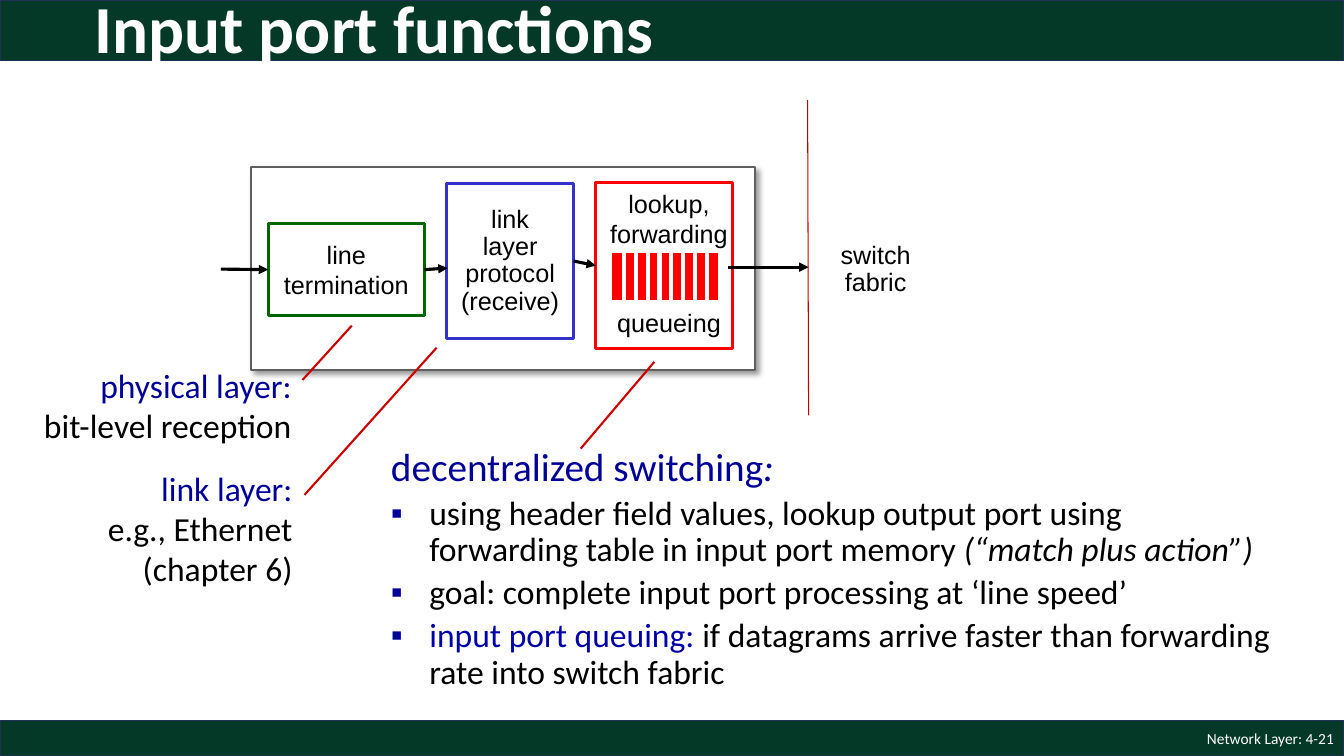
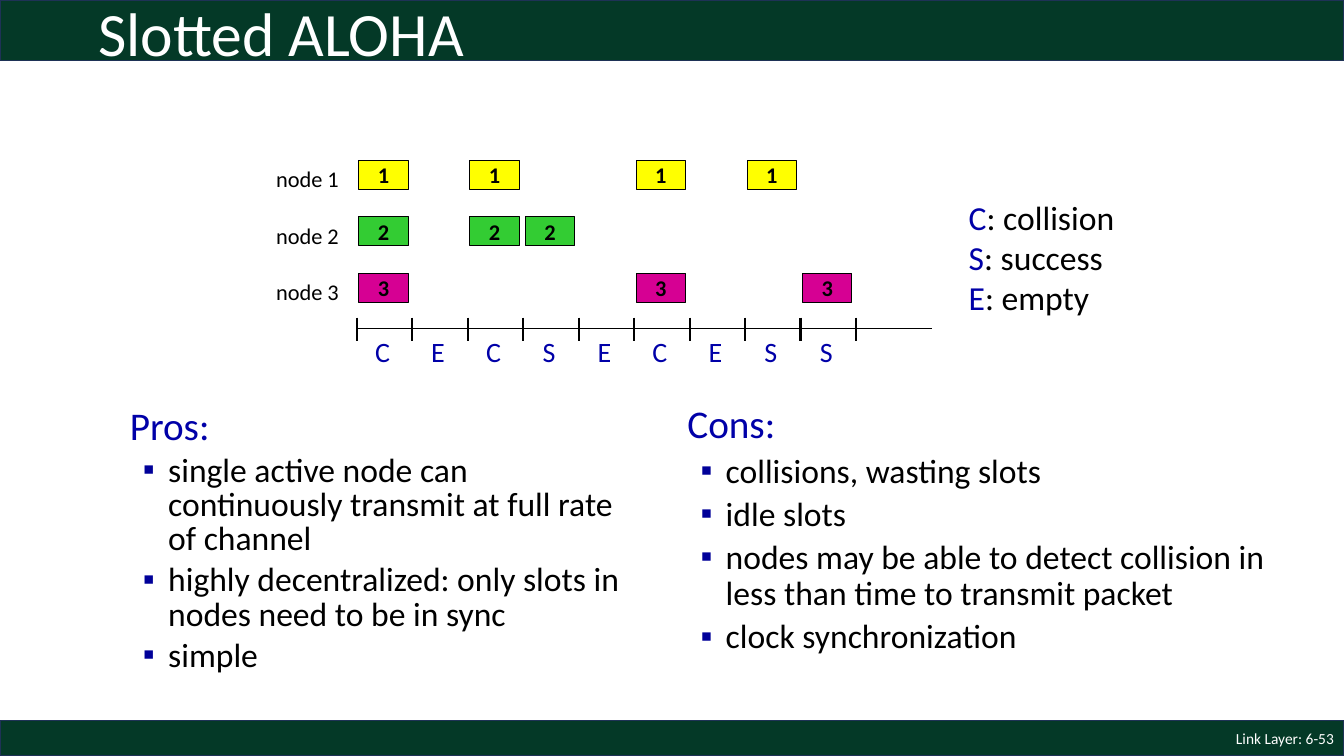
from dataclasses import dataclass

import pptx
import pptx.dml.color
import pptx.enum.shapes
import pptx.enum.text
import pptx.oxml
import pptx.oxml.ns
import pptx.util
from lxml import etree

Inches = pptx.util.Inches
Pt = pptx.util.Pt
RGBColor = pptx.dml.color.RGBColor
Align = pptx.enum.text.PP_ALIGN
Anchor = pptx.enum.text.MSO_ANCHOR
RECTANGLE = pptx.enum.shapes.MSO_SHAPE.RECTANGLE
STRAIGHT = pptx.enum.shapes.MSO_CONNECTOR.STRAIGHT
qn = pptx.oxml.ns.qn
LEFT_SIDE, RIGHT_SIDE = 1, 3


@dataclass(frozen=True)
class Theme:
    body_font: str = "Calibri"
    diagram_font: str = "Arial"
    band: str = "043927"
    band_edge: str = "1E3256"
    white: str = "FFFFFF"
    black: str = "000000"
    heading: str = "000099"
    accent: str = "0000A8"
    panel_edge: str = "5F5F5F"
    green: str = "006600"
    blue: str = "3333CC"
    red: str = "FF0000"
    callout: str = "CC0000"
    divider: str = "C00000"
    node_colors: tuple = ("FFFF00", "33CC33", "D60093")
    heading_size: int = 28
    body_size: int = 24
    slot_size: int = 20
    diagram_size: int = 18
    node_size: int = 16
    footer_size: int = 11


THEME = Theme()


@dataclass
class Paragraph:
    """runs holds (text, color, italic) tuples; a None color keeps the paragraph's own."""
    runs: list
    size: float = THEME.body_size
    color: str = THEME.black
    font: str = THEME.body_font
    bold: bool = False
    align: Align = Align.LEFT
    line_spacing: float = 1.0
    space_before: float = 0
    bullet_indent: float = 0


def plain(*lines, **style):
    return [Paragraph([(line, None, False)], **style) for line in lines]


def diagram_text(*lines, line_spacing=1.0):
    return plain(*lines, size=THEME.diagram_size, font=THEME.diagram_font,
                 align=Align.CENTER, line_spacing=line_spacing)


def bullet_list(heading, items, indent, line_spacing):
    """A heading followed by bulleted items, each a list of runs."""
    return [Paragraph(heading, THEME.heading_size, THEME.accent, line_spacing=line_spacing)] + [
        Paragraph(item, line_spacing=line_spacing, space_before=4.8, bullet_indent=indent)
        for item in items]


class Deck:
    def __init__(self, theme):
        self.theme = theme
        self.presentation = pptx.Presentation()
        self.presentation.slide_width = Inches(13.33)
        self.presentation.slide_height = Inches(7.5)
        self.slide = None

    def new_slide(self, title, title_left, title_top, title_size, footer, bold=False):
        theme = self.theme
        self.slide = self.presentation.slides.add_slide(self.presentation.slide_layouts[6])
        for top, height in ((0, 0.6), (7.15, 0.35)):
            self.box(0, top, 13.33, height, theme.band, theme.band_edge, 1)
        self.text(10.33, 7.15, 3, 0.35,
                  plain(footer, size=theme.footer_size, color=theme.white, align=Align.RIGHT),
                  Anchor.MIDDLE, wrap=True)
        self.text(title_left, title_top, 11.5, 0.98,
                  plain(title, size=title_size, color=theme.white, bold=bold, line_spacing=0.9),
                  Anchor.MIDDLE, wrap=True)

    def box(self, left, top, width, height, fill=None, line=None, line_width=0.75, paragraphs=()):
        shape = self.slide.shapes.add_shape(
            RECTANGLE, Inches(left), Inches(top), Inches(width), Inches(height))
        shape.shadow.inherit = False
        if fill:
            shape.fill.solid()
            shape.fill.fore_color.rgb = RGBColor.from_string(fill)
        else:
            shape.fill.background()
        if line:
            shape.line.color.rgb = RGBColor.from_string(line)
            shape.line.width = Pt(line_width)
        else:
            shape.line.fill.background()
        if paragraphs:
            self.set_text(shape.text_frame, paragraphs, Anchor.MIDDLE, wrap=False)
        return shape

    def drop_shadow(self, shape):
        effects = shape._element.spPr.find(qn("a:effectLst"))
        shadow = etree.SubElement(effects, qn("a:outerShdw"), blurRad=str(Pt(4)),
                                  dist=str(Pt(3)), dir="2700000", algn="tl", rotWithShape="0")
        color = etree.SubElement(shadow, qn("a:srgbClr"), val=self.theme.black)
        etree.SubElement(color, qn("a:alpha"), val="40000")

    def text(self, left, top, width, height, paragraphs, anchor=Anchor.TOP, wrap=False):
        shape = self.slide.shapes.add_textbox(
            Inches(left), Inches(top), Inches(width), Inches(height))
        self.set_text(shape.text_frame, paragraphs, anchor, wrap)

    def set_text(self, frame, paragraphs, anchor, wrap):
        frame.word_wrap = wrap
        frame.vertical_anchor = anchor
        for index, content in enumerate(paragraphs):
            paragraph = frame.paragraphs[0] if index == 0 else frame.add_paragraph()
            if content.bullet_indent:
                self.bullet(paragraph, content.bullet_indent)
            paragraph.alignment = content.align
            paragraph.line_spacing = content.line_spacing
            if content.space_before:
                paragraph.space_before = Pt(content.space_before)
            font = paragraph.font
            font.name = content.font
            font.size = Pt(content.size)
            font.bold = content.bold
            font.color.rgb = RGBColor.from_string(content.color)
            for text, color, italic in content.runs:
                run = paragraph.add_run()
                run.text = text
                if color:
                    run.font.color.rgb = RGBColor.from_string(color)
                if italic:
                    run.font.italic = True

    def bullet(self, paragraph, indent):
        properties = paragraph._p.get_or_add_pPr()
        properties.set("marL", str(Inches(0.38)))
        properties.set("indent", str(-Inches(indent)))
        color = etree.SubElement(properties, qn("a:buClr"))
        etree.SubElement(color, qn("a:srgbClr"), val=self.theme.heading)
        etree.SubElement(properties, qn("a:buFont"), typeface=self.theme.diagram_font)
        etree.SubElement(properties, qn("a:buChar"), char="▪")

    def line(self, start, end, color, width, arrow=False, begin_box=None, end_box=None):
        """Draw a straight line; it leaves begin_box on its right and enters end_box on its left."""
        connector = self.slide.shapes.add_connector(
            STRAIGHT, *(Inches(value) for value in (*start, *end)))
        connector.line.color.rgb = RGBColor.from_string(color)
        connector.line.width = Pt(width)
        if begin_box is not None:
            connector.begin_connect(begin_box, RIGHT_SIDE)
        if end_box is not None:
            connector.end_connect(end_box, LEFT_SIDE)
        properties = connector._element.spPr
        if arrow:
            etree.SubElement(properties.find(qn("a:ln")), qn("a:tailEnd"), type="triangle")
        etree.SubElement(properties, qn("a:effectLst"))

    def arrow(self, start, end, **boxes):
        self.line(start, end, self.theme.black, 2.25, arrow=True, **boxes)


def add_input_port_slide(deck):
    theme = deck.theme
    deck.new_slide("Input port functions", 0.84, -0.18, 48, "Network Layer: 4-21", bold=True)

    deck.drop_shadow(deck.box(2.49, 1.66, 5, 2.01, theme.white, theme.panel_edge, 1.5))
    deck.line((8.01, 0.99), (8.02, 4.12), theme.divider, 0.75)
    deck.box(8.11, 2.22, 1.15, 0.91, theme.white,
             paragraphs=diagram_text("switch", "fabric", line_spacing=0.9))
    termination = deck.box(2.66, 2.22, 1.55, 0.91, theme.white, theme.green, 2.25,
                           diagram_text("line", "termination"))
    link_layer = deck.box(
        4.43, 1.82, 1.26, 1.54, None, theme.blue, 2.25,
        diagram_text("link", "layer", "protocol", "(receive)", line_spacing=0.9))
    lookup = deck.box(5.91, 1.81, 1.36, 1.65, None, theme.red, 2.25)
    lookup_text = diagram_text("lookup,", "forwarding", "queueing")
    lookup_text[-1].space_before = 41.4
    deck.text(5.95, 1.82, 1.37, 1.6, lookup_text)

    deck.box(6.05, 2.49, 1.09, 0.51, theme.red, theme.white, 3)
    gap_count, first_gap, last_gap = 8, 6.19, 7.01
    for index in range(gap_count):
        x = first_gap + index * (last_gap - first_gap) / (gap_count - 1)
        deck.line((x, 2.5), (x, 2.99), theme.white, 3)

    deck.arrow((2.19, 2.67), (2.65, 2.67), end_box=termination)
    deck.arrow((4.21, 2.67), (4.44, 2.66), begin_box=termination)
    deck.arrow((5.69, 2.6), (5.91, 2.6), begin_box=link_layer, end_box=lookup)
    deck.arrow((7.22, 2.65), (8.02, 2.65))

    for start, end in (((3, 3.77), (3.49, 3.23)),
                       ((3.02, 4.91), (4.33, 3.45)),
                       ((5.76, 4.45), (6.49, 3.59))):
        deck.line(start, end, theme.callout, 1.5)

    for left, top, width, height, heading, details in (
            (0.28, 3.57, 2.71, 0.91, "physical layer:", ["bit-level reception"]),
            (0.95, 4.59, 2.05, 1.31, "link layer:", ["e.g., Ethernet", "(chapter 6)"])):
        deck.text(left, top, width, height,
                  plain(heading, color=theme.heading, align=Align.RIGHT)
                  + plain(*details, align=Align.RIGHT))

    deck.text(3.78, 4.39, 8.96, 2.92, bullet_list(
        [("decentralized switching", theme.heading, False), (":", theme.heading, True)],
        [[("using header field values, lookup output port using forwarding table "
           "in input port memory ", None, False), ("(“match plus action”)", None, True)],
         [("goal: complete input port processing at ‘line speed’", None, False)],
         [("input port queuing: ", theme.accent, False),
          ("if datagrams arrive faster than forwarding rate into switch fabric", None, False)]],
        0.38, 0.9), wrap=True)


def add_slotted_aloha_slide(deck):
    theme = deck.theme
    deck.new_slide("Slotted ALOHA", 0.88, -0.13, 44, "Link Layer: 6-53")

    axis_left, slot_width, axis_y = 3.54, 0.55, 3.26
    outcomes = "CECSECESS"
    node_slots = ((0, 2, 5, 7), (0, 2, 3), (0, 5, 8))

    def slot_left(slot):
        return axis_left + slot * slot_width

    for row, (slots, color) in enumerate(zip(node_slots, theme.node_colors)):
        top = 1.59 + 0.56 * row
        deck.text(2.64, top, 0.83, 0.37, plain(f"node {row + 1}", size=theme.node_size))
        for slot in slots:
            deck.box(slot_left(slot) + 0.02, top, 0.49, 0.29, color, theme.black, 0.75,
                     plain(str(row + 1), size=theme.node_size, bold=True, align=Align.CENTER))

    deck.line((axis_left, axis_y), (9.24, axis_y), theme.black, 0.75)
    for tick in range(len(outcomes) + 1):
        deck.line((slot_left(tick), 3.15), (slot_left(tick), 3.38), theme.black, 1.5)
    for slot, outcome in enumerate(outcomes):
        deck.text(slot_left(slot) + 0.08, 3.27, 0.35, 0.44,
                  plain(outcome, size=theme.slot_size, color=theme.accent, align=Align.CENTER))

    deck.text(9.51, 1.9, 1.66, 1.31, [
        Paragraph([(letter, theme.accent, False), (f": {meaning}", None, False)])
        for letter, meaning in (("C", "collision"), ("S", "success"), ("E", "empty"))])

    for left, top, width, height, line_spacing, heading, items in (
            (1.19, 4, 5.3, 3.5, 0.85, "Pros:",
             ["single active node can continuously transmit at full rate of channel",
              "highly decentralized: only slots in nodes need to be in sync",
              "simple"]),
            (6.72, 3.97, 6.1, 3, 0.9, "Cons:",
             ["collisions, wasting slots",
              "idle slots",
              "nodes may be able to detect collision in less than time to transmit packet",
              "clock synchronization"])):
        deck.text(left, top, width, height, bullet_list(
            [(heading, None, False)], [[(item, None, False)] for item in items],
            0.25, line_spacing), wrap=True)


def main():
    deck = Deck(THEME)
    add_input_port_slide(deck)
    add_slotted_aloha_slide(deck)
    deck.presentation.save("out.pptx")


if __name__ == "__main__":
    main()
